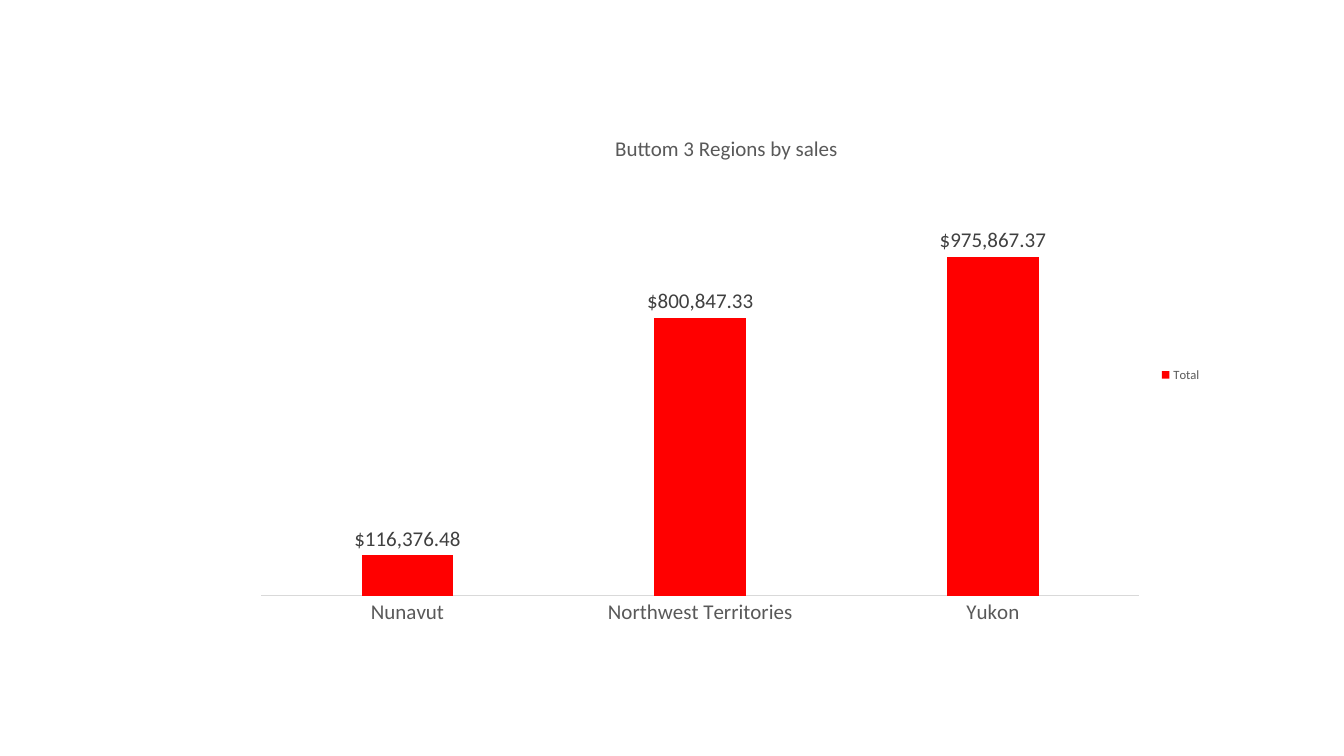
from dataclasses import dataclass

from lxml.etree import SubElement
from pptx import Presentation
from pptx.chart.data import CategoryChartData
from pptx.dml.color import RGBColor
from pptx.enum.chart import XL_CHART_TYPE, XL_LABEL_POSITION, XL_LEGEND_POSITION, XL_TICK_MARK
from pptx.oxml.ns import qn
from pptx.util import Inches, Pt


@dataclass(frozen=True)
class Theme:
    font: str = "Calibri"
    bar: RGBColor = RGBColor(0xFF, 0x00, 0x00)
    text: RGBColor = RGBColor(0x59, 0x59, 0x59)
    label: RGBColor = RGBColor(0x40, 0x40, 0x40)
    axis: RGBColor = RGBColor(0xD9, 0xD9, 0xD9)
    large: Pt = Pt(15)
    base: Pt = Pt(10)
    small: Pt = Pt(9)


THEME = Theme()
CHART_BOX = (2.39, 1.14, 9.63, 5.16)
PLOT_BOX = (2.59, 1.78, 8.71, 4.13)
SALES = {
    "Nunavut": 116376.48,
    "Northwest Territories": 800847.33,
    "Yukon": 975867.37,
}
CURRENCY = "[$$-1009]#,##0.00"


def style_font(font, size, color):
    font.name = THEME.font
    font.size = size
    font.bold = False
    font.color.rgb = color


def add_sales_chart(slide):
    data = CategoryChartData(number_format=CURRENCY)
    data.categories = list(SALES)
    data.add_series("Total", list(SALES.values()))
    frame = slide.shapes.add_chart(
        XL_CHART_TYPE.COLUMN_CLUSTERED, *map(Inches, CHART_BOX), data
    )
    chart = frame.chart
    style_font(chart.font, THEME.base, THEME.text)
    return chart


def style_title(chart, title):
    text_frame = chart.chart_title.text_frame
    text_frame.text = title
    style_font(text_frame.paragraphs[0].runs[0].font, THEME.large, THEME.text)
    chart.chart_title.include_in_layout = False


def style_axes(chart):
    category_axis = chart.category_axis
    category_axis.major_tick_mark = XL_TICK_MARK.NONE
    category_axis.format.line.color.rgb = THEME.axis
    category_axis.format.line.width = Pt(0.75)
    style_font(category_axis.tick_labels.font, THEME.large, THEME.text)

    value_axis = chart.value_axis
    value_axis.minimum_scale = 0
    value_axis.maximum_scale = 1200000
    value_axis.has_major_gridlines = False
    value_axis.visible = False


def style_bars(chart):
    plot = chart.plots[0]
    plot.gap_width = 219
    plot.overlap = -27
    plot.vary_by_categories = False
    series = plot.series[0]
    series.format.fill.solid()
    series.format.fill.fore_color.rgb = THEME.bar

    labels = series.data_labels
    labels.show_value = True
    labels.position = XL_LABEL_POSITION.OUTSIDE_END
    labels.number_format = CURRENCY
    labels.number_format_is_linked = False
    style_font(labels.font, THEME.large, THEME.label)


def style_legend(chart):
    chart.has_legend = True
    chart.legend.position = XL_LEGEND_POSITION.RIGHT
    chart.legend.include_in_layout = False
    style_font(chart.legend.font, THEME.small, THEME.text)


def place_plot(chart):
    """Fix the inner plot area, as fractions of the chart box."""
    left, top, width, height = CHART_BOX
    plot_left, plot_top, plot_width, plot_height = PLOT_BOX
    settings = {
        "layoutTarget": "inner",
        "xMode": "edge",
        "yMode": "edge",
        "x": (plot_left - left) / width,
        "y": (plot_top - top) / height,
        "w": plot_width / width,
        "h": plot_height / height,
    }
    plot_area = chart.element.find(".//" + qn("c:plotArea"))
    layout = plot_area.find(qn("c:layout"))
    if layout is None:
        layout = SubElement(plot_area, qn("c:layout"))
        plot_area.insert(0, layout)
    manual = SubElement(layout, qn("c:manualLayout"))
    for name, value in settings.items():
        SubElement(manual, qn(f"c:{name}")).set("val", str(value))


def main():
    presentation = Presentation()
    presentation.slide_width = Inches(13.33)
    presentation.slide_height = Inches(7.5)
    slide = presentation.slides.add_slide(presentation.slide_layouts[6])
    chart = add_sales_chart(slide)
    style_title(chart, "Buttom 3 Regions by sales")
    style_axes(chart)
    style_bars(chart)
    style_legend(chart)
    place_plot(chart)
    presentation.save("out.pptx")


if __name__ == "__main__":
    main()
